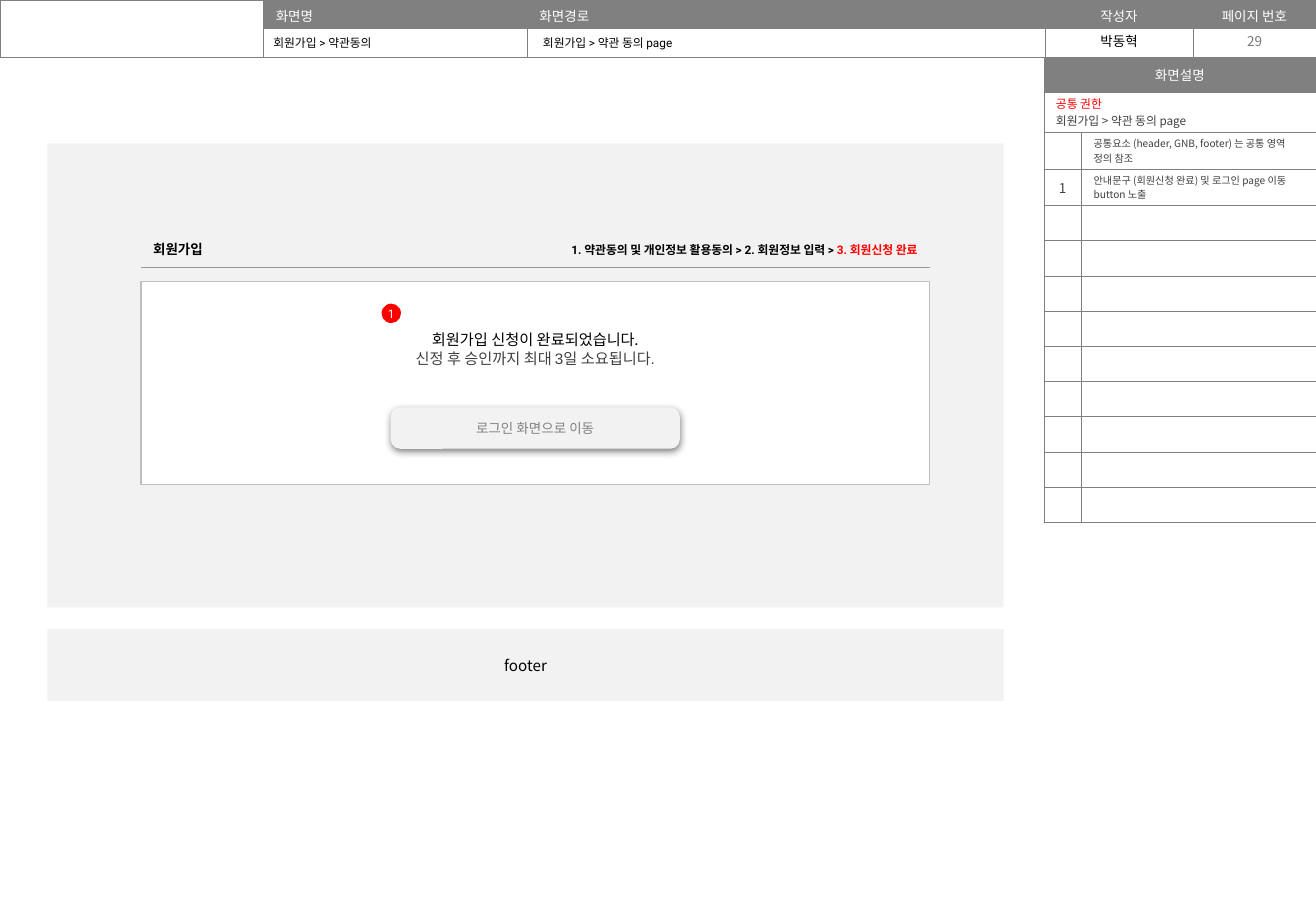
from typing import NamedTuple

from lxml import etree
from pptx import Presentation
from pptx.dml.color import RGBColor
from pptx.enum import shapes, text
from pptx.oxml import ns
from pptx.util import Inches, Pt

BLACK = RGBColor(0x00, 0x00, 0x00)
DARK = RGBColor(0x40, 0x40, 0x40)
PAGE_GRAY = RGBColor(0x79, 0x79, 0x79)
GRAY = RGBColor(0x80, 0x80, 0x80)
RULE = RGBColor(0x99, 0x99, 0x99)
OUTLINE = RGBColor(0xBF, 0xBF, 0xBF)
PANEL = RGBColor(0xF2, 0xF2, 0xF2)
WHITE = RGBColor(0xFF, 0xFF, 0xFF)
RED = RGBColor(0xFF, 0x00, 0x00)
NOTO, ROBOTO, ARIAL = "Noto Sans CJK KR", "Roboto", "Arial"
LEFT, CENTER, RIGHT = text.PP_ALIGN.LEFT, text.PP_ALIGN.CENTER, text.PP_ALIGN.RIGHT
NO_STYLE = "{2D5ABB26-0587-4C30-8999-92F81FD0307C}"
RECT = shapes.MSO_SHAPE.RECTANGLE


class Run(NamedTuple):
    """A piece of text with its look."""
    words: str
    size: float = 8
    color: RGBColor = BLACK
    font: str = NOTO
    bold: bool = False


def write(tf, paragraphs, align=LEFT, insets=(0.1, 0, 0.1, 0), spacing=None, anchor=text.MSO_ANCHOR.MIDDLE):
    """Fill a text frame with paragraphs, each a list of runs."""
    tf.word_wrap = True
    tf.auto_size = text.MSO_AUTO_SIZE.NONE
    tf.vertical_anchor = anchor
    tf.margin_left, tf.margin_top, tf.margin_right, tf.margin_bottom = map(Inches, insets)
    for i, runs in enumerate(paragraphs):
        p = tf.add_paragraph() if i else tf.paragraphs[0]
        p.alignment = align
        if spacing:
            p.line_spacing = Pt(spacing)
        add_runs(p, runs)


def add_runs(p, runs):
    """Append runs to a paragraph."""
    for run in runs:
        r = p.add_run()
        r.text = run.words
        r.font.size, r.font.bold, r.font.name = Pt(run.size), run.bold, run.font
        r.font.color.rgb = run.color
        etree.SubElement(r._r.get_or_add_rPr(), ns.qn("a:ea"), typeface=NOTO)


def add_label(s, box, run, align=LEFT):
    """Add a one-line text box."""
    write(s.shapes.add_textbox(*map(Inches, box)).text_frame, [[run]], align)


def add_block(s, kind, box, fill, line=None):
    """Add a flat filled shape."""
    sp = s.shapes.add_shape(kind, *map(Inches, box))
    sp.shadow.inherit = False
    sp.fill.solid()
    sp.fill.fore_color.rgb = fill
    if line is None:
        sp.line.fill.background()
    else:
        sp.line.color.rgb = line
        sp.line.width = Pt(0.75)
    return sp


def add_grid(s, left, top, widths, heights):
    """Add an unstyled table with the given columns and rows."""
    frame = s.shapes.add_table(len(heights), len(widths), *map(Inches, (left, top, sum(widths), sum(heights))))
    table = frame.table
    table.first_row = table.horz_banding = False
    table._tbl.tblPr.find(ns.qn("a:tableStyleId")).text = NO_STYLE
    for column, width in zip(table.columns, widths):
        column.width = Inches(width)
    for row, height in zip(table.rows, heights):
        row.height = Inches(height)
    return table


def set_cell(cell, paragraphs=(), align=LEFT, fill=None, pad=(0.025, 0.025), edges="LRTB", color=GRAY, width=0.25):
    """Write a cell and set its borders and fill."""
    cell.vertical_anchor = text.MSO_ANCHOR.MIDDLE
    cell.margin_left = cell.margin_right = Inches(0.1)
    cell.margin_top, cell.margin_bottom = map(Inches, pad)
    tc_pr = cell._tc.get_or_add_tcPr()
    for edge in "LRTB":
        ln = etree.SubElement(tc_pr, ns.qn(f"a:ln{edge}"), w=str(Pt(width)))
        if edge in edges:
            solid = etree.SubElement(ln, ns.qn("a:solidFill"))
            etree.SubElement(solid, ns.qn("a:srgbClr"), val=str(color))
        else:
            etree.SubElement(ln, ns.qn("a:noFill"))
    if fill is None:
        cell.fill.background()
    else:
        cell.fill.solid()
        cell.fill.fore_color.rgb = fill
    for i, runs in enumerate(paragraphs):
        p = cell.text_frame.add_paragraph() if i else cell.text_frame.paragraphs[0]
        p.alignment = align
        add_runs(p, runs)
    if not paragraphs:
        etree.SubElement(cell.text_frame.paragraphs[0]._p, ns.qn("a:endParaRPr"), sz="600")


def add_header(s, left, top):
    """Place the page header band with its values."""
    widths = [2.17, 2.17, 4.26, 1.22, 1.01]
    starts = [left + sum(widths[:i]) for i in range(len(widths))]
    table = add_grid(s, left, top, widths, [0.23, 0.24])
    titles = ["", "화면명", "화면경로", "작성자", "페이지 번호"]
    for i, title in enumerate(titles):
        set_cell(table.cell(0, i), [[Run(title, color=WHITE)]] if title else (),
                 CENTER if i > 2 else LEFT, GRAY if title else None, (0.05, 0.02))
        set_cell(table.cell(1, i))
    table.cell(0, 0).merge(table.cell(1, 0))
    sp = s.shapes.title
    sp.left, sp.top, sp.width, sp.height = map(Inches, (starts[1] - 0.02, top + 0.24, 2.22, 0.22))
    write(sp.text_frame, [[Run("회원가입 > 약관동의", 7, font=ROBOTO)]])
    add_label(s, (starts[2] + 0.03, top + 0.24, 4.21, 0.22), Run("회원가입 > 약관 동의 page", 7, font=ROBOTO))
    add_label(s, (starts[3], top + 0.22, 1.22, 0.24), Run("박동혁"), CENTER)
    add_label(s, (starts[4], top + 0.22, 1.01, 0.24), Run("29", color=PAGE_GRAY), CENTER)


def add_description(s, left, top):
    """Place the screen description table."""
    table = add_grid(s, left, top, [0.31, 1.93], [0.29, 0.33, 0.3, 0.3] + [0.29] * 9)
    set_cell(table.cell(0, 0), [[Run("화면설명", color=WHITE)]], CENTER, GRAY)
    set_cell(table.cell(1, 0), [[Run("공통 권한", 7, RED)], [Run("회원가입 > 약관 동의 page", 7, DARK)]])
    for row in range(2):
        set_cell(table.cell(row, 1))
        table.cell(row, 0).merge(table.cell(row, 1))
    notes = [("", "공통요소 (header, GNB, footer) 는 공통 영역 정의 참조"),
             ("1", "안내문구 (회원신청 완료) 및 로그인 page 이동 button 노출")]
    for row, (number, note) in enumerate(notes + [("", "")] * 9, 2):
        set_cell(table.cell(row, 0), [[Run(number, 8, DARK)]] if number else (), CENTER)
        set_cell(table.cell(row, 1), [[Run(note, 6, DARK)]] if note else ())


def add_steps(s, left, top, width):
    """Place the underlined heading with the sign-up steps."""
    table = add_grid(s, left, top, [width / 2] * 2, [0.33])
    steps = [Run("1. 약관동의 및 개인정보 활용동의 > 2. 회원정보 입력 > ", 7, BLACK, ROBOTO, True),
             Run("3. 회원신청 완료", 7, RED, ROBOTO, True)]
    heading = [Run("회원가입", 8, BLACK, ROBOTO, True)]
    for i, (runs, align) in enumerate([(heading, LEFT), (steps, RIGHT)]):
        set_cell(table.cell(0, i), [runs], align, pad=(0.05, 0.02), edges="B", color=RULE, width=0.75)
    table.cell(0, 1).margin_left = 0


def add_button(s, box, label):
    """Add a rounded button with a soft shadow."""
    sp = add_block(s, shapes.MSO_SHAPE.ROUNDED_RECTANGLE, box, PANEL, PANEL)
    sp.adjustments[0] = 0.22
    effects = sp._element.spPr.find(ns.qn("a:effectLst"))
    shadow = etree.SubElement(effects, ns.qn("a:outerShdw"), blurRad=str(Pt(4.5)), dist=str(Pt(1.5)), dir="5400000")
    black = etree.SubElement(shadow, ns.qn("a:srgbClr"), val=str(BLACK))
    etree.SubElement(black, ns.qn("a:alpha"), val="50000")
    write(sp.text_frame, [[Run(label, 8, GRAY, ARIAL)]], CENTER)


def add_screen(s, left, top, width, height):
    """Place the sign-up screen on its gray panel."""
    add_block(s, RECT, (left, top, width, height), PANEL)
    inner, inner_width = left + 0.77, 6.49
    add_steps(s, inner, top + 0.69, inner_width)
    message = add_block(s, RECT, (inner, top + 1.14, inner_width, 1.67), WHITE, OUTLINE)
    write(message.text_frame, [[Run("회원가입 신청이 완료되었습니다.", 9)],
                               [Run("신정 후 승인까지 최대 3일 소요됩니다.", 9, DARK, ARIAL)]],
          CENTER, (0.1, 0.4, 0.1, 0.1), 11, text.MSO_ANCHOR.TOP)
    add_button(s, (inner + (inner_width - 2.37) / 2, top + 2.18, 2.37, 0.33), "로그인 화면으로 이동")
    badge = add_block(s, shapes.MSO_SHAPE.OVAL, (left + 2.75, top + 1.32, 0.16, 0.16), RED)
    write(badge.text_frame, [[Run("1", 7, WHITE, ROBOTO)]], CENTER, (0, 0, 0, 0))


def add_footer(s, left, top, width, height):
    """Place the footer block."""
    sp = add_block(s, RECT, (left, top, width, height), PANEL)
    write(sp.text_frame, [[Run("footer", 9)]], CENTER)


def main():
    """Build the slide and save it."""
    prs = Presentation()
    prs.slide_width, prs.slide_height = Inches(10.83), Inches(7.5)
    s = prs.slides.add_slide(prs.slide_layouts[5])
    add_header(s, 0, 0)
    add_description(s, 8.59, 0.47)
    add_screen(s, 0.39, 1.18, 7.87, 3.82)
    add_footer(s, 0.39, 5.18, 7.87, 0.59)
    prs.save("out.pptx")


if __name__ == "__main__":
    main()
